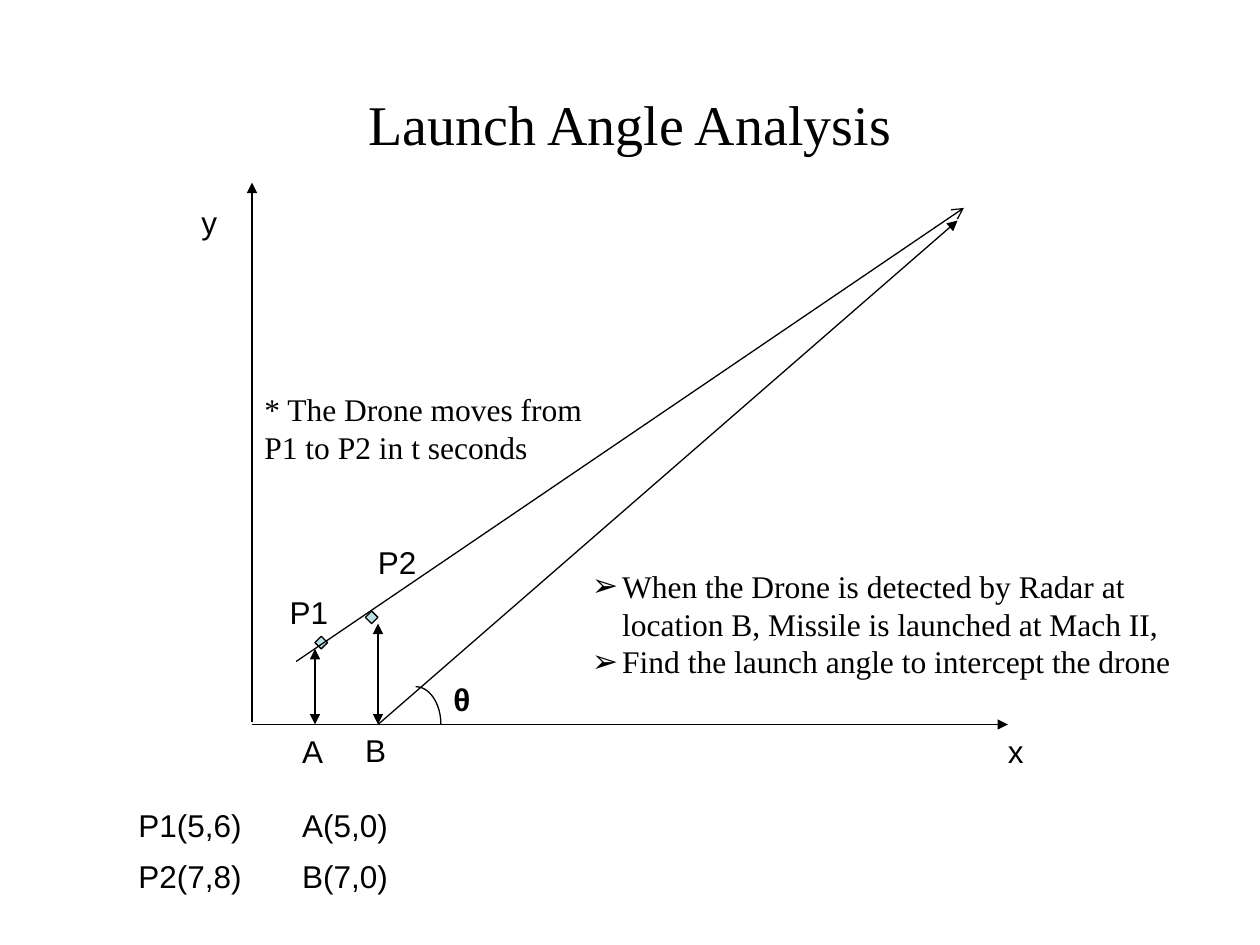
from dataclasses import dataclass

from lxml.etree import SubElement
from pptx import Presentation
from pptx.dml.color import RGBColor
from pptx.enum.shapes import MSO_CONNECTOR as Connector, MSO_SHAPE as Shape
from pptx.enum.text import MSO_ANCHOR as Anchor, MSO_AUTO_SIZE as AutoSize, PP_ALIGN as Align
from pptx.oxml.ns import qn
from pptx.util import Inches, Pt


@dataclass(frozen=True)
class Theme:
    ink: RGBColor = RGBColor(0, 0, 0)
    marker: RGBColor = RGBColor(0xBB, 0xE0, 0xE3)
    serif: str = "Times New Roman"
    sans: str = "Arial"
    title_size: Pt = Pt(32)
    body_size: Pt = Pt(18)
    line_width: Pt = Pt(0.75)


theme = Theme()
COLUMNS, ROWS = 20, 15
CELL = Inches(0.5)
Y_AXIS, X_AXIS = 4, 11.5  # column and row of the axes
A, B = 5, 6  # columns of the ground points


def grid(*cells):
    """Turn numbers of grid cells into slide lengths."""
    return [round(CELL * count) for count in cells]


def add_text(box, lines, font, size=theme.body_size, wrap=True):
    text_frame = slide.shapes.add_textbox(*grid(*box)).text_frame
    text_frame.word_wrap = wrap
    text_frame.text = "\n".join(lines)
    for paragraph in text_frame.paragraphs:
        for run in paragraph.runs:
            run.font.name = font
            run.font.size = size
            run.font.color.rgb = theme.ink
    return text_frame


presentation = Presentation()
presentation.slide_width, presentation.slide_height = grid(COLUMNS, ROWS)
slide = presentation.slides.add_slide(presentation.slide_layouts[6])

# Title
title = add_text((1, 0.7, COLUMNS - 2, 2.5), ["Launch Angle Analysis"],
                 theme.serif, theme.title_size)
title.vertical_anchor = Anchor.MIDDLE
title.paragraphs[0].alignment = Align.CENTER

# Position markers on the drone's course
for column, row in [(A, 10.1), (B - 0.2, 9.7)]:
    marker = slide.shapes.add_shape(Shape.DIAMOND, *grid(column, row, 0.2, 0.2))
    marker.shadow.inherit = False
    marker.fill.solid()
    marker.fill.fore_color.rgb = theme.marker
    marker.line.color.rgb = theme.ink
    marker.line.width = theme.line_width

# Axes, courses and heights: ends in cells, then arrowheads at start and end
arrows = [
    ((Y_AXIS, X_AXIS, 16, X_AXIS), None, "triangle"),
    ((Y_AXIS, X_AXIS - 0.04, Y_AXIS, 2.9), None, "triangle"),
    ((4.7, 10.5, 15.3, 3.3), None, "arrow"),
    ((B, X_AXIS, 15.2, 3.5), None, "triangle"),
    ((A, 10.3, A, X_AXIS), "triangle", "triangle"),
    ((B, 9.9, B, X_AXIS), "triangle", "triangle"),
]
for ends, start_head, end_head in arrows:
    arrow = slide.shapes.add_connector(Connector.STRAIGHT, *grid(*ends))
    arrow.line.color.rgb = theme.ink
    arrow.line.width = theme.line_width
    outline = arrow.line._get_or_add_ln()
    for tag, head in [("a:headEnd", start_head), ("a:tailEnd", end_head)]:
        if head:
            SubElement(outline, qn(tag), type=head)
    SubElement(arrow._element.spPr, qn("a:effectLst"))

# Launch angle
angle = slide.shapes.add_shape(Shape.ARC, *grid(6.2, X_AXIS - 0.6, 0.8, 1.2))
angle.shadow.inherit = False
angle.fill.background()
angle.line.color.rgb = theme.ink
angle.line.width = theme.line_width

# Labels: text, column, row, width
labels = [
    ("y", 3, 3.12, 0.64),
    ("x", 15.8, X_AXIS + 0.02, 0.64),
    ("A", 4.6, X_AXIS + 0.02, 0.72),
    ("B", 5.6, X_AXIS, 0.72),
    ("P1", 4.4, 9.32, 1.02),
    ("P2", 5.8, 8.52, 1.02),
    ("θ", 7, 10.7, 0.8),
]
coordinates = [("P1(5,6)", "A(5,0)"), ("P2(7,8)", "B(7,0)")]
for index, (position, ground) in enumerate(coordinates):
    row = 12.7 + 0.8 * index
    labels += [(position, 2, row, 2.04), (ground, 4.6, row, 1.76)]
for text, column, row, width in labels:
    label = add_text((column, row, width, 0.8), [text], theme.sans, wrap=False)
    label.auto_size = AutoSize.SHAPE_TO_FIT_TEXT
    label.paragraphs[0].runs[0].font.bold = text == "θ"

# Notes on the problem
add_text((Y_AXIS, 6.1, 5.6, 1.4),
         ["* The Drone moves from P1 to P2 in t seconds"], theme.serif)
task = add_text((9.2, 8.9, 9.6, 2), [
    "When the Drone is detected by Radar at location B, Missile is launched at Mach II,",
    "Find the launch angle to intercept the drone",
], theme.serif)
indent = Inches(0.24)
for paragraph in task.paragraphs:
    properties = paragraph._p.get_or_add_pPr()
    properties.set("marL", str(indent))
    properties.set("indent", str(-indent))
    SubElement(properties, qn("a:buFont"), typeface=theme.sans)
    SubElement(properties, qn("a:buChar"), char="➢")

presentation.save("out.pptx")
